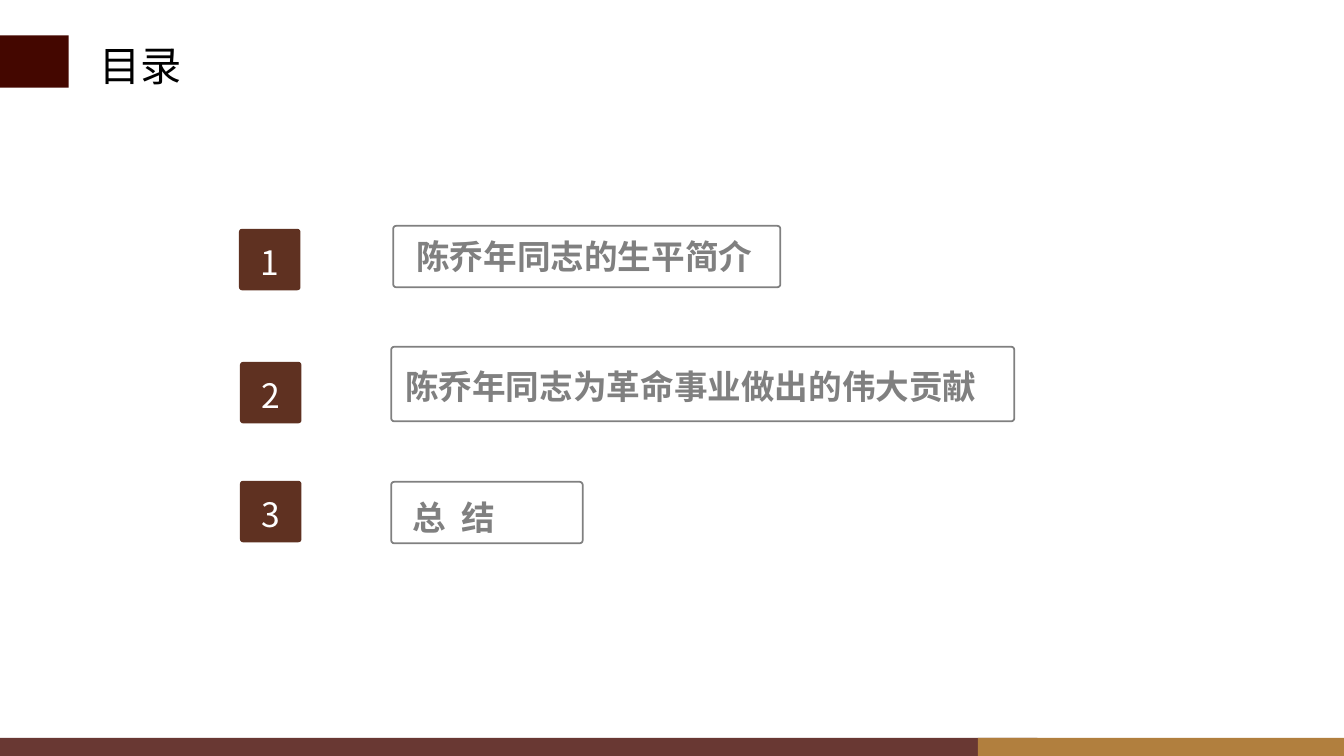
from lxml.etree import SubElement
from pptx import Presentation
from pptx.dml.color import RGBColor
from pptx.enum.shapes import MSO_SHAPE as Shape
from pptx.enum.text import MSO_ANCHOR as Anchor, PP_ALIGN as Align
from pptx.oxml.ns import qn
from pptx.util import Inches, Pt

WIDTH, HEIGHT = 13.33, 7.5
MAROON, BROWN, GOLD = "440700", "5F3121", "B17F3E"
GREY, WHITE, BLACK = "808080", "FFFFFF", "000000"
SANS, HEADING = "Noto Sans CJK SC", "Noto Sans CJK JP"
BADGE_SIZE = 0.61
CORNER = 0.03

# number, badge (left, top), label, box (left, top, width, height), text inset (left, top)
ENTRIES = [
    ("1", (2.37, 2.27), "陈乔年同志的生平简介", (3.9, 2.24, 3.84, 0.61), (0.22, 0)),
    ("2", (2.38, 3.59), "陈乔年同志为革命事业做出的伟大贡献", (3.88, 3.44, 6.18, 0.74), (0.13, 0.04)),
    ("3", (2.38, 4.77), "总  结", (3.88, 4.78, 1.9, 0.61), (0.2, 0.09)),
]


def color(value):
    return RGBColor.from_string(value)


def add_block(slide, kind, box, fill, line=None, alpha=None):
    """Add a flat filled shape, with an optional outline and opacity in percent."""
    shape = slide.shapes.add_shape(kind, *map(Inches, box))
    shape.shadow.inherit = False
    shape.fill.solid()
    shape.fill.fore_color.rgb = color(fill)
    if kind == Shape.ROUNDED_RECTANGLE:
        shape.adjustments[0] = CORNER / min(box[2:])
    if line:
        shape.line.color.rgb = color(line)
        shape.line.width = Pt(1.25)
    else:
        shape.line.fill.background()
    if alpha:
        fill_color = shape.fill._xPr.find(qn("a:solidFill"))[0]
        SubElement(fill_color, qn("a:alpha"), val=str(alpha * 1000))
    return shape


def write(shape, text, font, fill, align=Align.LEFT, inset=(0, 0), wrap=False, anchor=Anchor.MIDDLE):
    frame = shape.text_frame
    left, top = map(Inches, inset)
    frame_format = dict(margin_left=left, margin_top=top, margin_right=0,
                        margin_bottom=0, word_wrap=wrap, vertical_anchor=anchor)
    for name, value in frame_format.items():
        setattr(frame, name, value)
    paragraph = frame.paragraphs[0]
    paragraph.alignment = align
    run = paragraph.add_run()
    run.text = text
    for name, value in font.items():
        setattr(run.font, name, value)
    run.font.color.rgb = color(fill)
    SubElement(run.font._element, qn("a:ea"), typeface=font["name"])


def add_header(slide, left, top, width, height):
    add_block(slide, Shape.RECTANGLE, (left, top, 0.68, height), MAROON)
    title = slide.shapes.add_textbox(*map(Inches, (left + 0.89, top, width - 1.55, 0.59)))
    write(title, "目录", dict(name=SANS, size=Pt(29.4)), BLACK,
          inset=(0.1, 0.05), wrap=True, anchor=Anchor.TOP)


def add_entry(slide, number, badge_corner, label, label_box, inset):
    """Add a numbered badge and its outlined heading."""
    frame = add_block(slide, Shape.ROUNDED_RECTANGLE, label_box, WHITE, GREY)
    write(frame, label, dict(name=HEADING, size=Pt(24), bold=True), GREY, inset=inset, wrap=True)
    badge = add_block(slide, Shape.ROUNDED_RECTANGLE,
                      (*badge_corner, BADGE_SIZE, BADGE_SIZE), BROWN)
    write(badge, number, dict(name=SANS, size=Pt(24)), WHITE, Align.CENTER, (0, 0.05))


def add_footer(slide, left, top, width, height):
    gold_width = 3.63
    add_block(slide, Shape.RECTANGLE, (left, top, 10.29, height), MAROON, alpha=80)
    add_block(slide, Shape.RECTANGLE,
              (left + width - gold_width, top, gold_width, height), GOLD)


def main():
    presentation = Presentation()
    presentation.slide_width = Inches(WIDTH)
    presentation.slide_height = Inches(HEIGHT)
    slide = presentation.slides.add_slide(presentation.slide_layouts[6])
    for entry in ENTRIES:
        add_entry(slide, *entry)
    add_header(slide, 0, 0.35, WIDTH, 0.52)
    add_footer(slide, 0, HEIGHT - 0.18, WIDTH, 0.18)
    presentation.save("out.pptx")


if __name__ == "__main__":
    main()
